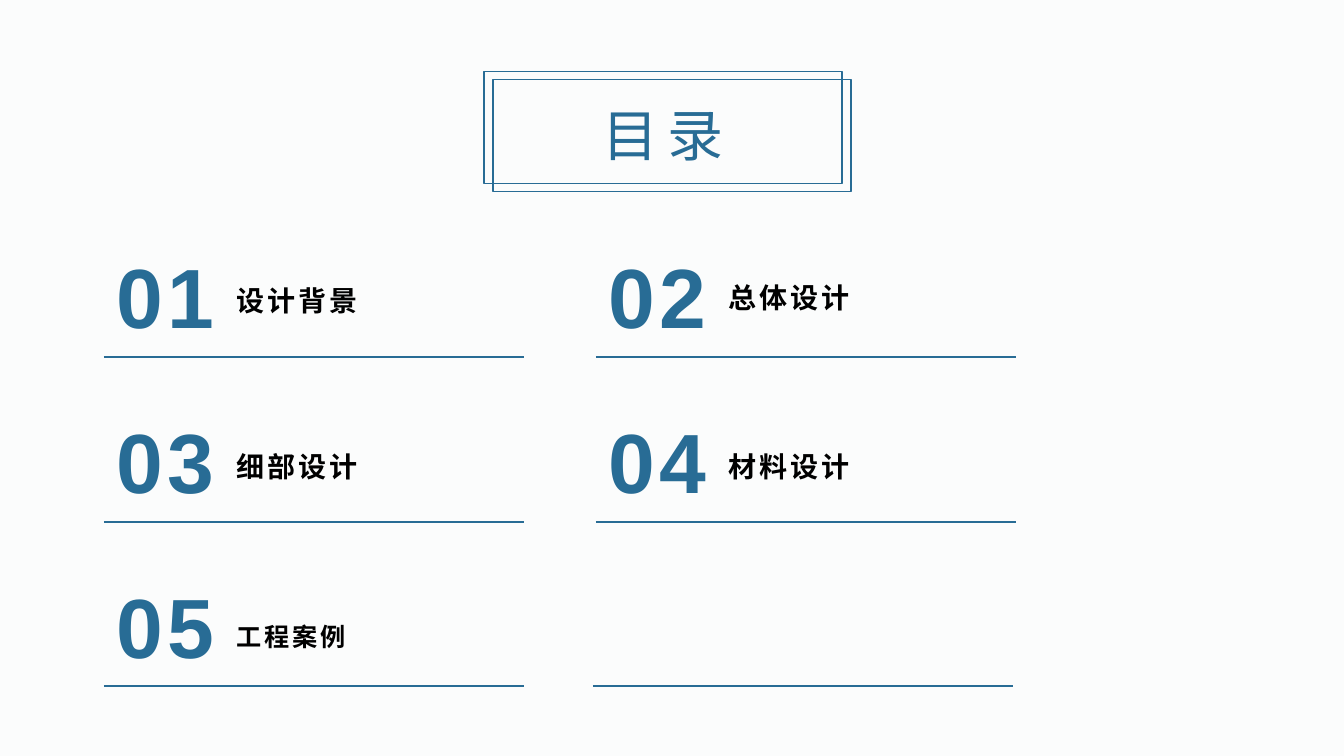
from lxml import etree
from pptx import Presentation
from pptx import util as u
from pptx.dml import color
from pptx.enum import shapes, text
from pptx.oxml import ns

BLUE = "286C95"
deck = Presentation()
deck.slide_width, deck.slide_height = u.Inches(13.33), u.Inches(7.5)
slide = deck.slides.add_slide(deck.slide_layouts[6])


def paint(target, tone):
    if hasattr(target, "solid"):
        target.solid()
        target = target.fore_color
    else:
        target = target.color
    target.rgb = color.RGBColor.from_string(tone)


def write(words, area, size, tone, bold, gap, align, anchor, lead=1.0, foot=0.05):
    box = slide.shapes.add_textbox(*map(u.Inches, area))
    frame = box.text_frame
    frame.word_wrap = True
    frame.vertical_anchor = anchor
    frame.margin_bottom = u.Inches(foot)
    para = frame.paragraphs[0]
    para.text = words
    para.alignment = align
    para.line_spacing = lead
    para.font.name = "Arial"
    para.font.size = u.Pt(size)
    para.font.bold = bold
    paint(para.font, tone)
    para.runs[0]._r.get_or_add_rPr().set("spc", str(gap * 100))


paint(slide.background.fill, "FBFCFC")
left, center = text.PP_ALIGN.LEFT, text.PP_ALIGN.CENTER
middle, bottom = text.MSO_ANCHOR.MIDDLE, text.MSO_ANCHOR.BOTTOM

cols, rows = (1.03, 5.91), (2.37, 4.01, 5.64)
items = [
    ("设计背景", 0.36, 2.92, 20, 1.1),
    ("总体设计", 0.33, 2.92, 20, 1.1),
    ("细部设计", 0.36, 1.51, 20, 1.1),
    ("材料设计", 0.36, 1.47, 20, 1.1),
    ("工程案例", 0.40, 1.44, 18, 1.2),
]
for i, (name, drop, wide, size, lead) in enumerate(items):
    x, y = cols[i % 2], rows[i // 2]
    write(name, (x + 1.22, y + drop, wide, 0.42), size, "000000", True, 2,
          left, bottom, lead, 0)
    write(f"{i + 1:02}", (x, y, 1.22, 1.11), 60, BLUE, True, 3, center, middle)

for i in range(6):
    x, y = cols[i % 2], rows[i // 2] + 1.17
    if i == 5:
        x -= 0.03
    rule = slide.shapes.add_connector(
        shapes.MSO_CONNECTOR.STRAIGHT, *map(u.Inches, (x, y, x + 4.17, y)))
    paint(rule.line, BLUE)
    rule.line.width = u.Pt(1.5)
    etree.SubElement(rule._element.spPr, ns.qn("a:effectLst"))

write("目录", (5.35, 0.91, 2.45, 0.8), 40, BLUE, False, 6, center, bottom)
for x, y in ((4.8, 0.71), (4.89, 0.79)):
    card = slide.shapes.add_shape(
        shapes.MSO_SHAPE.RECTANGLE, *map(u.Inches, (x, y, 3.55, 1.11)))
    card.shadow.inherit = False
    card.fill.background()
    paint(card.line, BLUE)
    card.line.width = u.Pt(1)

deck.save("out.pptx")
